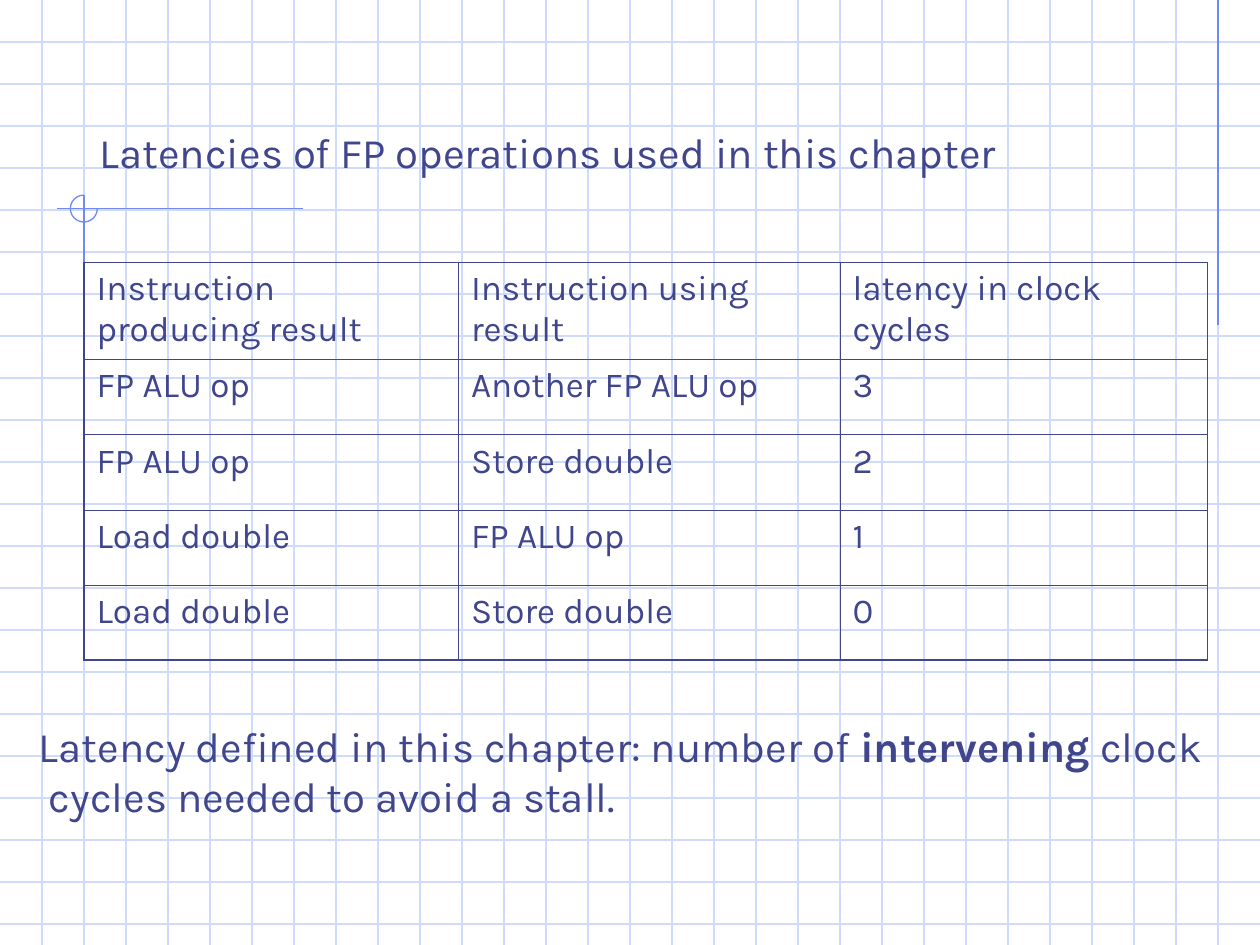
from lxml import etree
from pptx import Presentation
from pptx import util as u
from pptx.dml.color import RGBColor
from pptx.enum import shapes, text
from pptx.oxml import ns

Pt = u.Pt
WIDTH, HEIGHT, STEP = 720, 540, 24
COLORS = {"grid": "CFDBFD", "accent": "6F89F7", "ink": "40458C", "paper": "FFFFFF"}


class Sheet:
    font = "Karla"
    hairline = 0.74
    inner_border, outer_border = 0.45, 1.08

    def __init__(self, slide):
        self.s = slide
        slide.background.fill.solid()
        slide.background.fill.fore_color.rgb = self.color("paper")

    def color(self, name):
        return RGBColor.from_string(COLORS[name])

    def stroke(self, sp, color):
        sp.line.color.rgb = self.color(color)
        sp.line.width = Pt(self.hairline)

    def style(self, p, size):
        p.font.name = self.font
        p.font.size = Pt(size)
        p.font.color.rgb = self.color("ink")

    def line(self, x1, y1, x2, y2, color):
        c = self.s.shapes.add_connector(
            shapes.MSO_CONNECTOR.STRAIGHT, Pt(x1), Pt(y1), Pt(x2), Pt(y2))
        self.stroke(c, color)
        etree.SubElement(c._element.spPr, ns.qn("a:effectLst"))

    def arc(self, x, y, size, start, end, color):
        sp = self.s.shapes.add_shape(
            shapes.MSO_SHAPE.ARC, Pt(x), Pt(y), Pt(size), Pt(size))
        sp.shadow.inherit = False
        # Arc angles are stored in 60000ths of a degree, scaled by 100000
        sp.adjustments[0], sp.adjustments[1] = start * 0.6, end * 0.6
        sp.fill.background()
        self.stroke(sp, color)

    def text(self, x, y, w, h, paragraphs, size=24):
        """Each paragraph is a list of (wording, bold) runs."""
        tf = self.s.shapes.add_textbox(Pt(x), Pt(y), Pt(w), Pt(h)).text_frame
        tf.word_wrap = False
        tf.auto_size = text.MSO_AUTO_SIZE.SHAPE_TO_FIT_TEXT
        for i, runs in enumerate(paragraphs):
            p = tf.add_paragraph() if i else tf.paragraphs[0]
            self.style(p, size)
            for wording, bold in runs:
                r = p.add_run()
                r.text = wording
                if bold:
                    r.font.bold = True

    def borders(self, cell, widths):
        tc_pr = cell._tc.get_or_add_tcPr()
        for i, (side, width) in enumerate(widths.items()):
            ln = etree.Element(ns.qn(f"a:ln{side}"), w=str(Pt(width)))
            fill = etree.SubElement(ln, ns.qn("a:solidFill"))
            etree.SubElement(fill, ns.qn("a:srgbClr"), val=COLORS["ink"])
            tc_pr.insert(i, ln)

    def table(self, x, y, col_widths, row_heights, rows, size=20):
        table = self.s.shapes.add_table(
            len(rows), len(col_widths), Pt(x), Pt(y),
            Pt(sum(col_widths)), Pt(sum(row_heights))).table
        table.first_row = table.horz_banding = False
        for col, w in zip(table.columns, col_widths):
            col.width = Pt(w)
        for row, h in zip(table.rows, row_heights):
            row.height = Pt(h)
        for i, row in enumerate(rows):
            for j, wording in enumerate(row):
                cell = table.cell(i, j)
                cell.fill.background()
                cell.text = wording
                p = cell.text_frame.paragraphs[0]
                p.space_before = Pt(5)
                self.style(p, size)
                edges = {"L": j == 0, "R": j == len(row) - 1,
                         "T": i == 0, "B": i == len(rows) - 1}
                self.borders(cell, {
                    side: self.outer_border if outer else self.inner_border
                    for side, outer in edges.items()})


prs = Presentation()
prs.slide_width, prs.slide_height = Pt(WIDTH), Pt(HEIGHT)
sheet = Sheet(prs.slides.add_slide(prs.slide_layouts[6]))

# Squared paper
for y in range(STEP, HEIGHT, STEP):
    sheet.line(0, y, WIDTH, y, "grid")
for x in range(STEP, WIDTH, STEP):
    sheet.line(x, 0, x, HEIGHT, "grid")

# Accent lines and three-quarter circle
sheet.line(696, 0, 696, 186, "accent")
sheet.line(173, 119.2, 32.5, 119.2, "accent")
sheet.line(48, 111.5, 48, 294.5, "accent")
sheet.arc(40.2, 111.5, 15.4, 0, 270, "accent")

# Latency table
sheet.table(48, 150, [214, 218, 210], [55.4] + [43] * 4, [
    ["Instruction producing result", "Instruction using result",
     "latency in clock cycles"],
    ["FP ALU op", "Another FP ALU op", "3"],
    ["FP ALU op", "Store double", "2"],
    ["Load double", "FP ALU op", "1"],
    ["Load double", "Store double", "0"],
])

# Title and definition
sheet.text(50, 68.5, 538.5, 36,
           [[("Latencies of FP operations used in this chapter", False)]])
sheet.text(15.2, 408, 702, 65, [
    [("Latency defined in this chapter: number of ", False),
     ("intervening", True), (" clock", False)],
    [(" cycles needed to avoid a stall.", False)],
])

prs.save("out.pptx")
